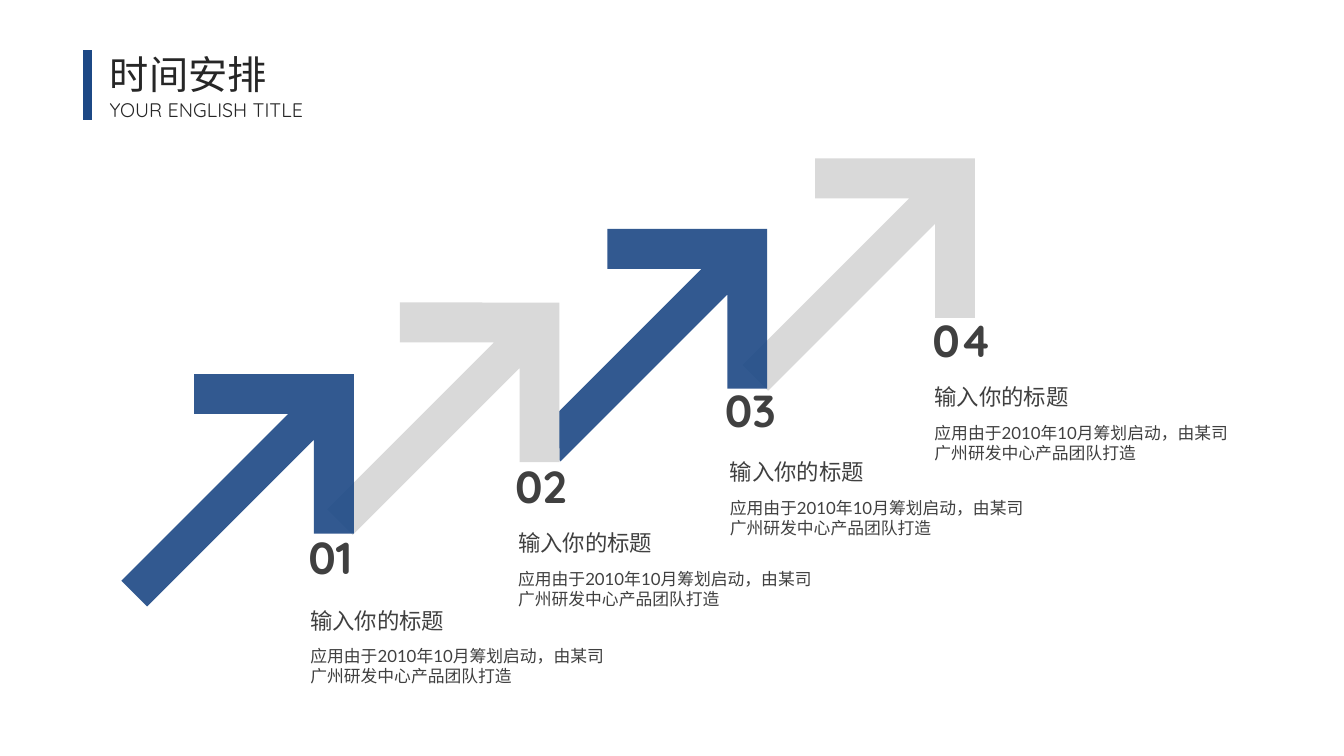
from lxml.etree import SubElement
from pptx import Presentation
from pptx.dml.color import RGBColor
from pptx.enum.shapes import MSO_CONNECTOR
from pptx.enum.text import MSO_ANCHOR, MSO_AUTO_SIZE, PP_ALIGN
from pptx.oxml.ns import qn
from pptx.util import Inches, Pt

NAVY, GREY, DARK, BLACK = "1C4885", "D9D9D9", "404040", "262626"
TITLE = dict(name="Lato", size=Pt(28), bold=False)
SUBTITLE = dict(name="Quicksand", size=Pt(14))
NUMBER = dict(name="Quicksand", size=Pt(32), bold=True)
HEADING = dict(name="Lato", size=Pt(16))
BODY = dict(name="Lato", size=Pt(12))

# Upper half of an arrow that points left, from its tip; y is from its axis
ARROW_HALF = [(0, 0), (1.12, -1.12), (1.4, -0.84), (0.74, -0.18), (3.08, -0.18)]
ARROW = ARROW_HALF + [(x, -y) for x, y in reversed(ARROW_HALF[1:])]
ARROW_TURN = 135

# Number, arrow tip before turning, number position, heading position, colour, opacity in %
STEPS = [
    ("01", (0.88, 4.8), (2.96, 5.21), (2.98, 5.97), NAVY, 90),
    ("02", (2.92, 4.09), (5.01, 4.5), (5.04, 5.2), GREY, 100),
    ("03", (4.98, 3.36), (7.09, 3.75), (7.14, 4.5), NAVY, 90),
    ("04", (7.04, 2.66), (9.15, 3.05), (9.17, 3.75), GREY, 100),
]
STEP_HEADING = "输入你的标题"
STEP_BODY = "应用由于2010年10月筹划启动，由某司广州研发中心产品团队打造"


def rgb(color):
    return RGBColor.from_string(color)


def write(shape, text, font, color, align=PP_ALIGN.LEFT):
    tf = shape.text_frame
    tf.word_wrap = True
    tf.auto_size = MSO_AUTO_SIZE.SHAPE_TO_FIT_TEXT
    tf.vertical_anchor = MSO_ANCHOR.TOP
    p = tf.paragraphs[0]
    p.alignment = align
    r = p.add_run()
    r.text = text
    for key, value in font.items():
        setattr(r.font, key, value)
    r.font.color.rgb = rgb(color)


def add_text(s, text, x, y, w, h, font, color=DARK, align=PP_ALIGN.LEFT):
    box = s.shapes.add_textbox(Inches(x), Inches(y), Inches(w), Inches(h))
    write(box, text, font, color, align)


def add_title(s, text, x, y, w, h):
    title = s.shapes.title
    title.left, title.top, title.width, title.height = map(Inches, (x, y, w, h))
    write(title, text, TITLE, BLACK)


def add_bar(s, x, top, bottom):
    bar = s.shapes.add_connector(MSO_CONNECTOR.STRAIGHT, Inches(x), Inches(top),
                                 Inches(x), Inches(bottom))
    bar.line.color.rgb = rgb(NAVY)
    bar.line.width = Pt(6)
    SubElement(bar._element.spPr, qn("a:effectLst"))


def add_arrow(s, tip, color, opacity):
    points = [(Inches(tip[0] + dx), Inches(tip[1] + dy)) for dx, dy in ARROW]
    builder = s.shapes.build_freeform(*points[0])
    builder.add_line_segments(points[1:], close=True)
    arrow = builder.convert_to_shape()
    arrow.rotation = ARROW_TURN
    arrow.shadow.inherit = False
    arrow.line.fill.background()
    arrow.fill.solid()
    arrow.fill.fore_color.rgb = rgb(color)
    if opacity < 100:
        fill = arrow._element.spPr.find(qn("a:solidFill"))
        SubElement(fill[0], qn("a:alpha"), val=str(opacity * 1000))


def main():
    prs = Presentation()
    prs.slide_width, prs.slide_height = Inches(13.33), Inches(7.5)
    s = prs.slides.add_slide(prs.slide_layouts[5])

    add_title(s, "时间安排", 0.99, 0.45, 2.78, 0.57)
    add_text(s, "YOUR ENGLISH TITLE", 0.99, 0.92, 2.46, 0.34, SUBTITLE, BLACK,
             PP_ALIGN.JUSTIFY)
    add_bar(s, 0.87, 0.5, 1.19)

    # The lower arrows overlap the tails of the higher ones
    for _, tip, _, _, color, opacity in reversed(STEPS):
        add_arrow(s, tip, color, opacity)
    for number, _, number_at, (x, y), _, _ in STEPS:
        add_text(s, number, *number_at, 0.81, 0.64, NUMBER)
        add_text(s, STEP_HEADING, x, y, 2.43, 0.37, HEADING)
        add_text(s, STEP_BODY, x, y + 0.39, 3.13, 0.5, BODY)

    prs.save("out.pptx")


if __name__ == "__main__":
    main()
